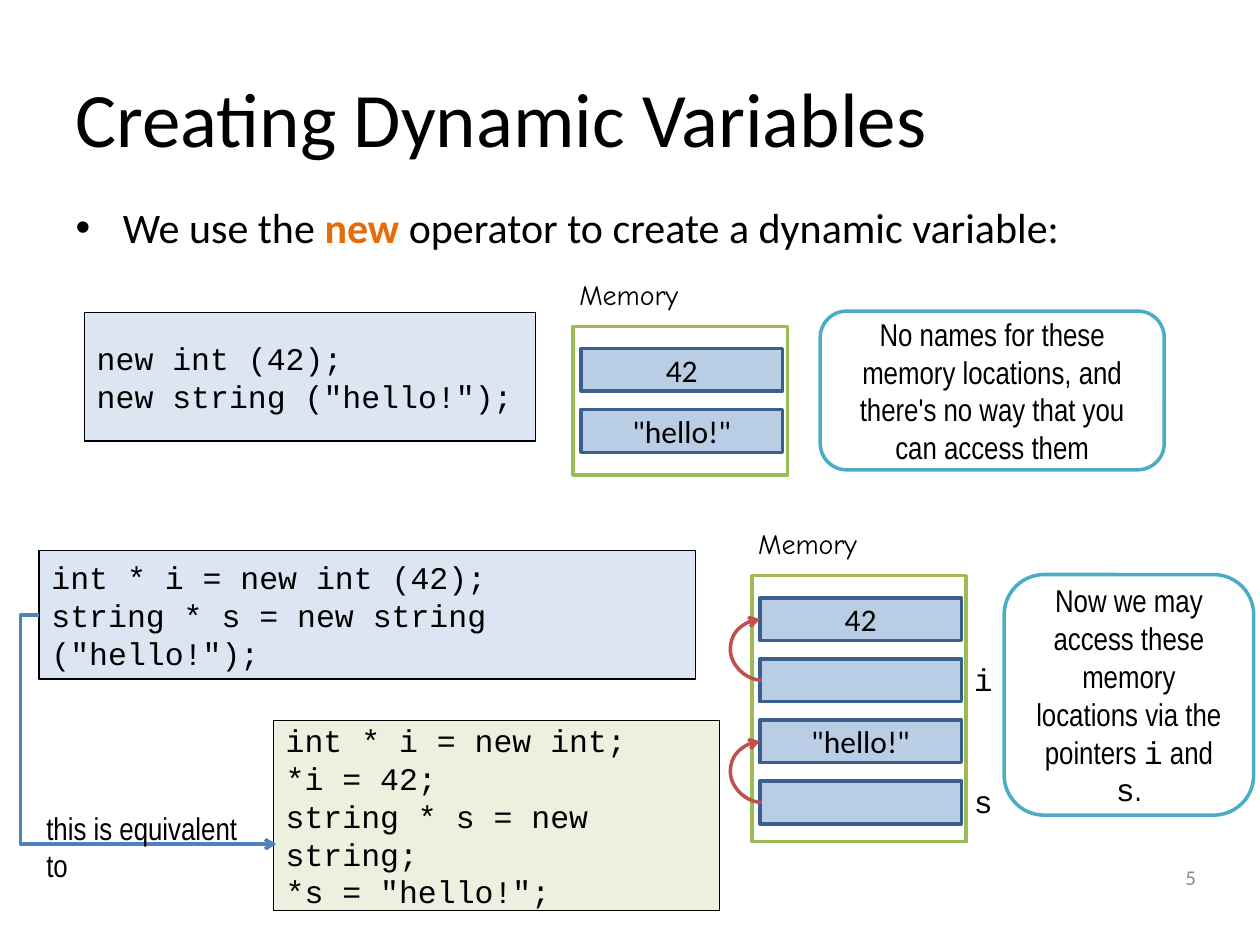
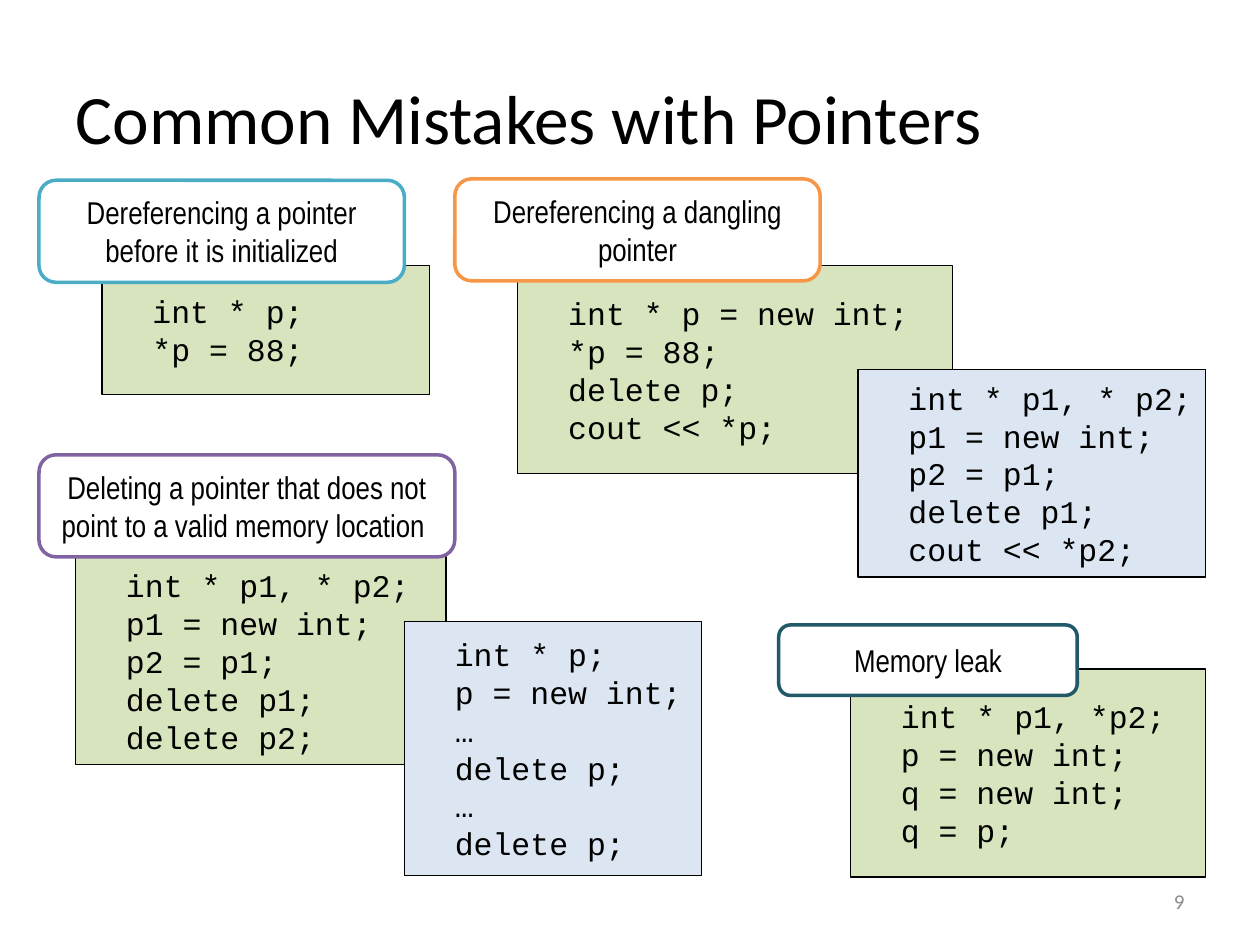
"""Build two slides on dynamic variables and common pointer mistakes."""
import pptx
import pptx.util
import pptx.dml.color
import pptx.enum.shapes
import pptx.enum.text
import pptx.oxml
import pptx.oxml.ns

Pt = pptx.util.Pt
RGB = pptx.dml.color.RGBColor
Shape = pptx.enum.shapes.MSO_SHAPE
Link = pptx.enum.shapes.MSO_CONNECTOR
Align = pptx.enum.text.PP_ALIGN
Anchor = pptx.enum.text.MSO_ANCHOR
Fit = pptx.enum.text.MSO_AUTO_SIZE

BLACK = RGB(0x00, 0x00, 0x00)
WHITE = RGB(0xFF, 0xFF, 0xFF)
GRAY = RGB(0x8C, 0x8C, 0x8C)
ORANGE = RGB(0xE4, 0x6C, 0x0A)
PALE_BLUE = RGB(0xDC, 0xE6, 0xF2)
PALE_GREEN = RGB(0xEB, 0xF1, 0xDE)
GREEN = RGB(0xD7, 0xE4, 0xBD)
FRAME = RGB(0x9B, 0xBB, 0x59)
CELL = RGB(0xB9, 0xCD, 0xE5)
EDGE = RGB(0x3A, 0x5F, 0x8C)
TEAL = RGB(0x4B, 0xAC, 0xC6)
AMBER = RGB(0xF7, 0x96, 0x46)
PURPLE = RGB(0x80, 0x64, 0xA2)
DEEP = RGB(0x21, 0x59, 0x68)
RED = RGB(0xC0, 0x50, 0x4D)
BLUE = RGB(0x4F, 0x81, 0xBD)

SANS = "Calibri"
NARROW = "Arial Narrow"
CODE = "Courier New"
HAND = "Comic Neue"

STEP = 34.9
INDENT = 21.6


def format_runs(frame, font, size=18, color=BLACK, align=Align.LEFT):
    """Give every run of a text frame one look."""
    for para in frame.paragraphs:
        para.alignment = align
        for run in para.runs:
            run.font.name = font
            run.font.size = Pt(size)
            run.font.color.rgb = color


def add_runs(para, parts):
    """Append one run per part and return the runs."""
    runs = []
    for part in parts:
        run = para.add_run()
        run.text = part
        runs.append(run)
    return runs


def place(shape, left, top, width, height):
    """Move and size a shape in points."""
    shape.left, shape.top = Pt(left), Pt(top)
    shape.width, shape.height = Pt(width), Pt(height)


def add_page(deck, layout, title, size, number, right, top):
    """Add a slide with its title and page number."""
    slide = deck.slides.add_slide(deck.slide_layouts[layout])
    place(slide.shapes.title, 36, 21.6, 648, 90)
    frame = slide.shapes.title.text_frame
    frame.text = title
    frame.auto_size = Fit.NONE
    frame.vertical_anchor = Anchor.MIDDLE
    format_runs(frame, SANS, size)
    page = add_label(slide, number, right - 168, top, 168, 29, SANS, 12, GRAY, Align.RIGHT)
    page.text_frame.vertical_anchor = Anchor.MIDDLE
    return slide


def add_label(slide, text, left, top, width, height, font, size=18, color=BLACK, align=Align.LEFT):
    """Add a plain text box."""
    label = slide.shapes.add_textbox(Pt(left), Pt(top), Pt(width), Pt(height))
    label.text_frame.word_wrap = True
    label.text_frame.text = text
    format_runs(label.text_frame, font, size, color, align)
    return label


def add_box(slide, kind, at, fill, line, weight=2.0, text="", font=SANS, align=Align.CENTER):
    """Add a filled and outlined shape with text in its middle."""
    box = slide.shapes.add_shape(kind, *map(Pt, at))
    box.shadow.inherit = False
    box.fill.solid()
    box.fill.fore_color.rgb = fill
    box.line.color.rgb = line
    box.line.width = Pt(weight)
    frame = box.text_frame
    frame.word_wrap = True
    frame.vertical_anchor = Anchor.MIDDLE
    frame.text = text
    format_runs(frame, font, align=align)
    return box


def add_code(slide, at, fill, lines, indent=0):
    """Add a box of code lines."""
    box = add_box(slide, Shape.RECTANGLE, at, fill, BLACK, 0.75, "\n".join(lines), CODE, Align.LEFT)
    box.text_frame.margin_left = Pt(7.2 + indent)


def add_note(slide, at, line, text=""):
    """Add a rounded white note."""
    return add_box(slide, Shape.ROUNDED_RECTANGLE, at, WHITE, line, text=text, font=NARROW)


def add_memory(slide, left, top, height, values):
    """Add a memory frame with one cell per value."""
    add_label(slide, "Memory", left - 3.6, top - 31.4, 96.5, 26.6, HAND, 16)
    add_box(slide, Shape.RECTANGLE, (left, top, 122.4, height), WHITE, FRAME)
    for row, value in enumerate(values):
        at = (left + 4.4, top + 12.6 + row * STEP, 115.2, 24.5)
        add_box(slide, Shape.RECTANGLE, at, CELL, EDGE, text=value)


def add_arrow(slide, kind, start, end, bend, color, turn=0):
    """Add a bent or curved arrow with a set bend."""
    arrow = slide.shapes.add_connector(kind, *map(Pt, start + end))
    arrow.rotation = turn
    arrow.line.color.rgb = color
    arrow.line.width = Pt(2)
    space = pptx.oxml.ns.nsdecls("a")
    props = arrow.element.spPr
    guides = props.find(pptx.oxml.ns.qn("a:prstGeom")).get_or_add_avLst()
    guides.append(pptx.oxml.parse_xml(f'<a:gd {space} name="adj1" fmla="val {bend}"/>'))
    arrow.line._get_or_add_ln().append(pptx.oxml.parse_xml(f'<a:tailEnd {space} type="arrow"/>'))
    props.append(pptx.oxml.parse_xml(f"<a:effectLst {space}/>"))


def add_intro(slide):
    """Fill the body with the sentence on the new operator."""
    body = slide.placeholders[1]
    place(body, 36, 111.6, 648, 370.8)
    frame = body.text_frame
    frame.auto_size = Fit.NONE
    parts = ["We use the ", "new", " operator to create a dynamic variable:"]
    runs = add_runs(frame.paragraphs[0], parts)
    format_runs(frame, SANS, 24)
    runs[1].font.bold = True
    runs[1].font.color.rgb = ORANGE


def build_dynamic(deck):
    """Build the slide on creating dynamic variables."""
    slide = add_page(deck, 1, "Creating Dynamic Variables", 44, "5", 690.5, 486.7)
    add_intro(slide)

    add_code(slide, (48.2, 178.6, 257.8, 73.4), PALE_BLUE,
             ["new int (42);", 'new string ("hello!");'])
    add_memory(slide, 327.6, 186.5, 85, ["42", '"hello!"'])
    add_note(slide, (468.7, 177.8, 196.6, 90.7), TEAL,
             "No names for these memory locations, and there's no way that you can access them")

    add_code(slide, (22.3, 314.6, 375.1, 73.4), PALE_BLUE,
             ["int * i = new int (42);", 'string * s = new string ("hello!");'])
    left, top = 429.8, 329
    add_memory(slide, left, top, 152, ["42", "", '"hello!"', ""])
    for row, name in ((1, "i"), (3, "s")):
        cell = top + 12.6 + row * STEP
        add_label(slide, name, 549.4, cell - 2.7, 24.5, 28.8, CODE)
        middle = cell + 12.2
        add_arrow(slide, Link.CURVE, (left + 4.4, middle - STEP), (left + 5.4, middle),
                  1800000, RED, 180)

    note = add_note(slide, (573.8, 328.3, 142.6, 137.5), TEAL)
    frame = note.text_frame
    parts = ["Now we may access these memory locations via the pointers ", "i", " and ", "s", "."]
    runs = add_runs(frame.paragraphs[0], parts)
    format_runs(frame, NARROW, align=Align.CENTER)
    for run in runs[1::2]:
        run.font.name = CODE

    add_code(slide, (156.2, 411.8, 254.9, 108.7), PALE_GREEN,
             ["int * i = new int;", "*i = 42;", "string * s = new string;", '*s = "hello!";'])
    add_arrow(slide, Link.ELBOW, (22.3, 351.4), (157.7, 482.4), -7800, BLUE)
    add_label(slide, "this is equivalent to", 19.4, 458.6, 138.2, 28.8, NARROW)


def build_mistakes(deck):
    """Build the slide on common mistakes with pointers."""
    slide = add_page(deck, 5, "Common Mistakes with Pointers", 39.6, "9", 684, 500.4)
    pair = ["int * p1, * p2;", "p1 = new int;", "p2 = p1;", "delete p1;"]

    add_code(slide, (58.3, 151.9, 187.2, 73.4), GREEN, ["int * p;", "*p = 88;"], INDENT)
    add_note(slide, (22.3, 103, 208.8, 58.3), TEAL,
             "Dereferencing a pointer before it is initialized")

    add_code(slide, (295.9, 151.9, 248.4, 118.8), GREEN,
             ["int * p = new int;", "*p = 88;", "delete p;", "cout << *p;"], INDENT)
    add_note(slide, (259.9, 102.2, 208.8, 58.3), AMBER, "Dereferencing a dangling pointer")
    add_code(slide, (490.3, 211, 198.7, 118.8), PALE_BLUE, pair + ["cout << *p2;"], INDENT)

    add_code(slide, (43.2, 318.2, 211.7, 118.8), GREEN, pair + ["delete p2;"], INDENT)
    add_note(slide, (22.3, 259.9, 237.6, 58.3), PURPLE,
             "Deleting a pointer that does not point to a valid memory location ")
    add_code(slide, (231.1, 355, 169.9, 145.4), PALE_BLUE,
             ["int * p;", "p = new int;"] + ["…", "delete p;"] * 2, INDENT)

    add_code(slide, (486, 382.3, 203, 118.8), GREEN,
             ["int * p1, *p2;", "p = new int;", "q = new int;", "q = p;"], INDENT)
    add_note(slide, (445, 357.1, 170.6, 40.3), DEEP, "Memory leak")


def main():
    """Build and save the deck."""
    deck = pptx.Presentation()
    deck.slide_width, deck.slide_height = Pt(720), Pt(540)
    build_dynamic(deck)
    build_mistakes(deck)
    deck.save("out.pptx")


if __name__ == "__main__":
    main()
